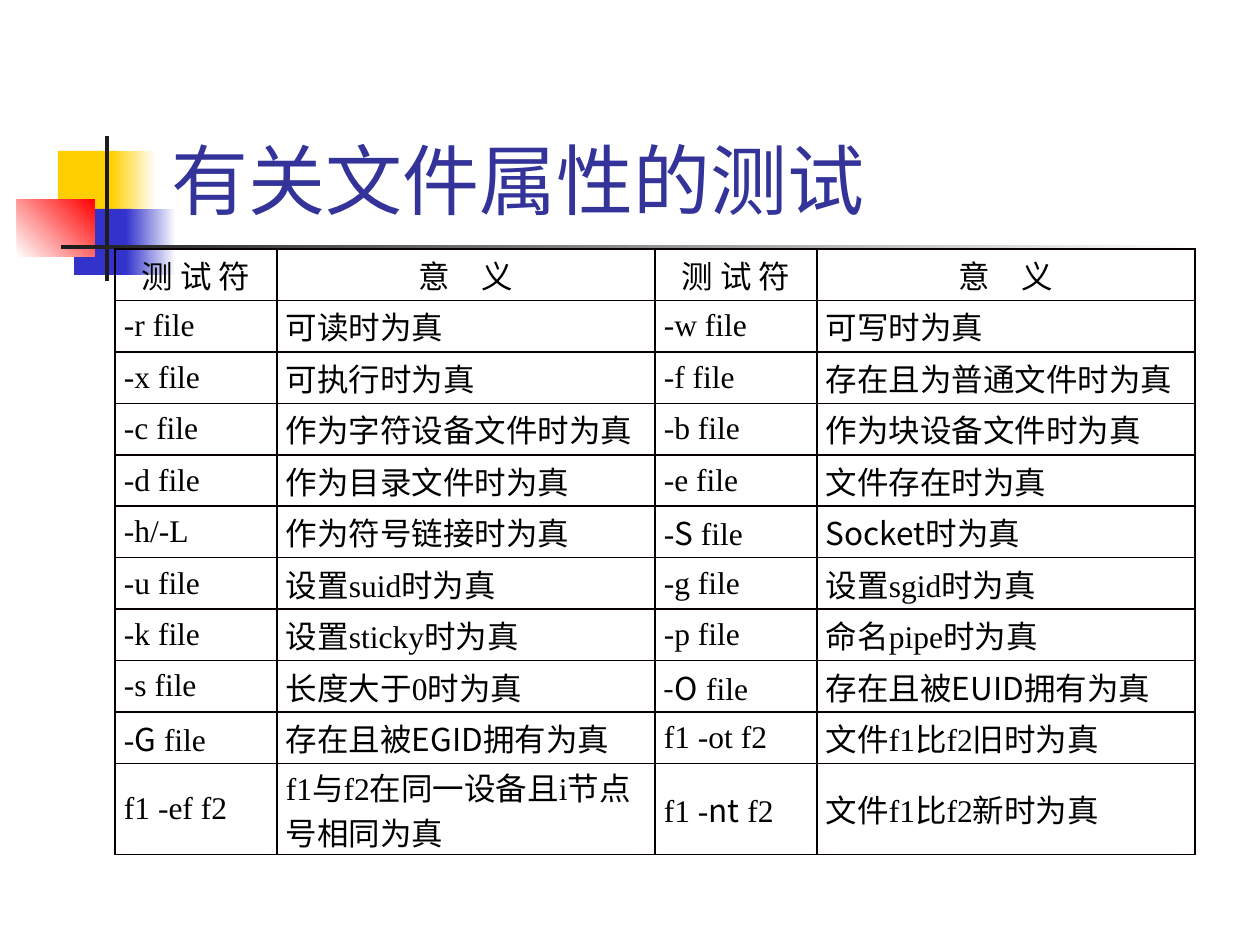
from lxml.etree import SubElement
from pptx import Presentation
from pptx.dml.color import RGBColor
from pptx.enum.shapes import MSO_SHAPE
from pptx.enum.text import MSO_ANCHOR, MSO_AUTO_SIZE, PP_ALIGN
from pptx.oxml.ns import qn
from pptx.util import Emu, Pt

PX_PER_INCH = 126
SANS = "Noto Sans CJK SC"
SERIF = "Times New Roman"
TITLE_FONT = "Karla"

WHITE = RGBColor(0xFF, 0xFF, 0xFF)
BLACK = RGBColor(0x00, 0x00, 0x00)
YELLOW = RGBColor(0xFF, 0xCF, 0x01)
BLUE = RGBColor(0x33, 0x33, 0xCC)
RED = RGBColor(0xFF, 0x00, 0x00)
CHARCOAL = RGBColor(0x1C, 0x1C, 0x1C)
NAVY = RGBColor(0x33, 0x33, 0x99)
BORDER = RGBColor(0x08, 0x00, 0x00)

MOTIF = [
    ((58, 151, 60, 66), [YELLOW], 0),
    ((111, 151, 45, 66), [YELLOW, WHITE], 0),
    ((74, 209, 58, 66), [BLUE], 0),
    ((126, 209, 50, 66), [BLUE, WHITE], 0),
    ((17, 199, 78, 58), [WHITE, RED], 45),
    ((105, 136, 4, 145), [CHARCOAL], 0),
    ((61, 245, 1134, 4), [CHARCOAL, WHITE], 0),
]

COLUMN_WIDTHS = [162, 378, 162, 378]
HEADER = ["测 试 符", "意　义"] * 2
TESTS = [
    ["-r file", "可读时为真", "-w file", "可写时为真"],
    ["-x file", "可执行时为真", "-f file", "存在且为普通文件时为真"],
    ["-c file", "作为字符设备文件时为真", "-b file", "作为块设备文件时为真"],
    ["-d file", "作为目录文件时为真", "-e file", "文件存在时为真"],
    ["-h/-L", "作为符号链接时为真", "-|S| file", "Socket时为真"],
    ["-u file", "设置|suid|时为真", "-g file", "设置|sgid|时为真"],
    ["-k file", "设置|sticky|时为真", "-p file", "命名|pipe|时为真"],
    ["-s file", "长度大于|0|时为真", "-O| file", "存在且被EUID拥有为真"],
    ["-|G| file", "存在且被EGID拥有为真", "f1 -ot f2", "文件|f1|比|f2|旧时为真"],
    ["f1 -ef f2", "f1|与|f2|在同一设备且|i|节点号相同为真",
     "f1 -|nt| f2", "文件|f1|比|f2|新时为真"],
]
SANS_LATIN_RUNS = {"S", "-O", "G", "nt"}


def px(length):
    return Emu(round(length * 914400 / PX_PER_INCH))


def format_run(run, font_name, size, color):
    run.font.name = font_name
    run.font.size = Pt(size)
    run.font.color.rgb = color
    SubElement(run.font._element, qn("a:ea"), typeface=SANS)


def add_block(slide, box, colors, angle):
    block = slide.shapes.add_shape(MSO_SHAPE.RECTANGLE, *map(px, box))
    block.shadow.inherit = False
    block.line.fill.background()
    if len(colors) == 1:
        block.fill.solid()
        block.fill.fore_color.rgb = colors[0]
        return
    block.fill.gradient()
    block.fill.gradient_angle = angle
    for stop, color in zip(block.fill.gradient_stops, colors):
        stop.color.rgb = color


def set_title(slide, text):
    title = slide.shapes.title
    slide.shapes.element.append(title.element)
    title.left, title.top, title.width, title.height = map(px, (159, 29, 1074, 202))
    frame = title.text_frame
    frame.text = text
    frame.auto_size = MSO_AUTO_SIZE.NONE
    frame.vertical_anchor = MSO_ANCHOR.BOTTOM
    heading = frame.paragraphs[0]
    heading.alignment = PP_ALIGN.LEFT
    format_run(heading.runs[0], TITLE_FONT, 44, NAVY)


def set_borders(cell):
    properties = cell._tc.get_or_add_tcPr()
    for side in ("a:lnL", "a:lnR", "a:lnT", "a:lnB"):
        edge = SubElement(properties, qn(side), w=str(Pt(1)))
        fill = SubElement(edge, qn("a:solidFill"))
        SubElement(fill, qn("a:srgbClr"), val=str(BORDER))


def run_font(text):
    is_chinese = any("\u4e00" <= letter <= "\u9fff" for letter in text)
    return SANS if is_chinese or text in SANS_LATIN_RUNS else SERIF


def fill_cell(cell, text, alignment):
    set_borders(cell)
    cell.fill.background()
    cell.vertical_anchor = MSO_ANCHOR.MIDDLE
    cell.margin_left = cell.margin_right = px(9)
    cell.margin_top = cell.margin_bottom = 0
    paragraph = cell.text_frame.paragraphs[0]
    paragraph.alignment = alignment
    for part in text.split("|"):
        run = paragraph.add_run()
        run.text = part
        format_run(run, run_font(part), 18, BLACK)


def add_test_table(slide):
    rows = [HEADER] + TESTS
    frame = slide.shapes.add_table(
        len(rows), len(HEADER), px(115), px(249), px(sum(COLUMN_WIDTHS)), px(566))
    table = frame.table
    table.first_row = False
    table.horz_banding = False
    for column, width in zip(table.columns, COLUMN_WIDTHS):
        column.width = px(width)
    for row_index, row in enumerate(rows):
        alignment = PP_ALIGN.LEFT if row_index else PP_ALIGN.CENTER
        for column_index, text in enumerate(row):
            fill_cell(table.cell(row_index, column_index), text, alignment)


def main():
    presentation = Presentation()
    presentation.slide_width = px(1260)
    presentation.slide_height = px(945)
    slide = presentation.slides.add_slide(presentation.slide_layouts[5])
    for box, colors, angle in MOTIF:
        add_block(slide, box, colors, angle)
    set_title(slide, "有关文件属性的测试")
    add_test_table(slide)
    presentation.save("out.pptx")


if __name__ == "__main__":
    main()
